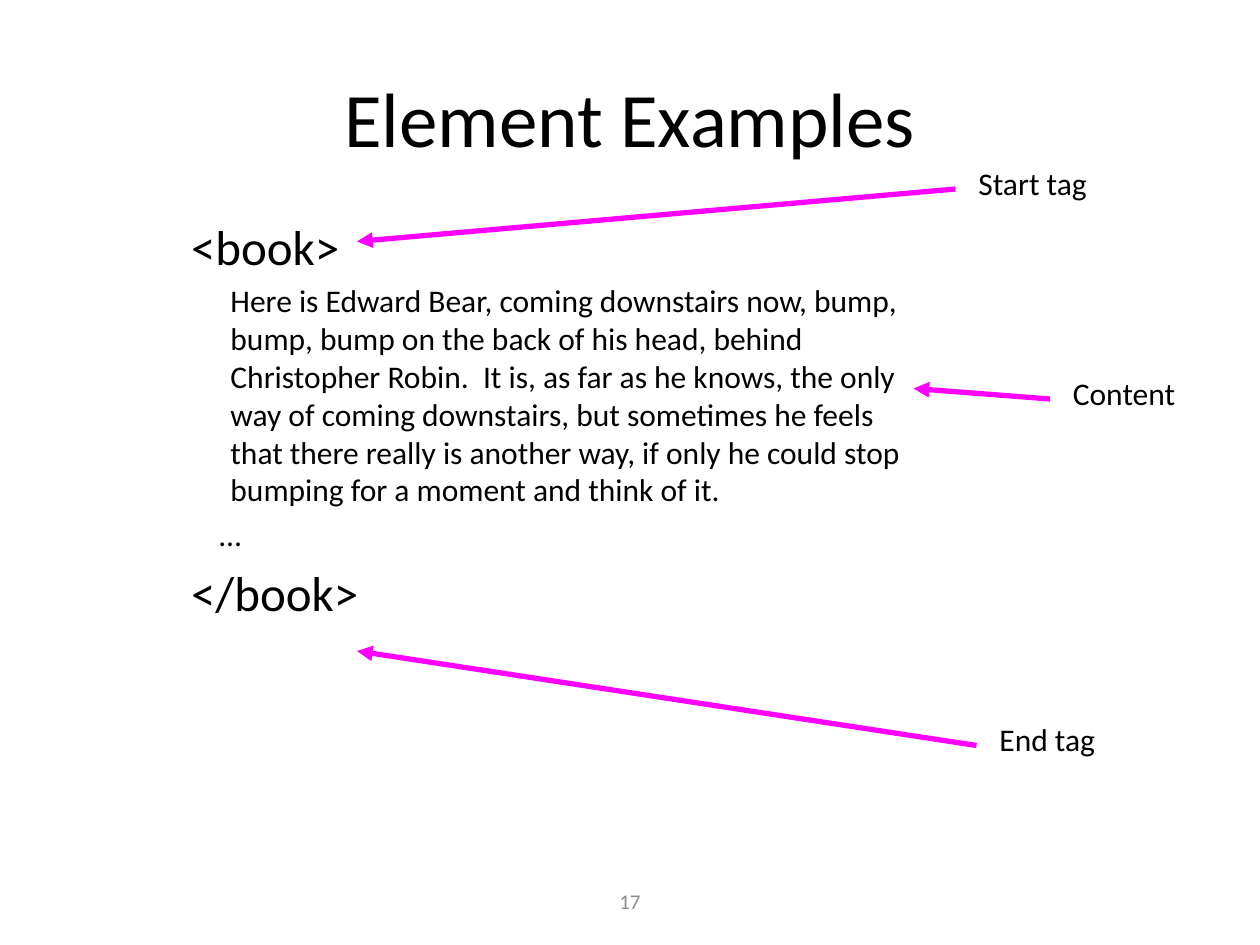
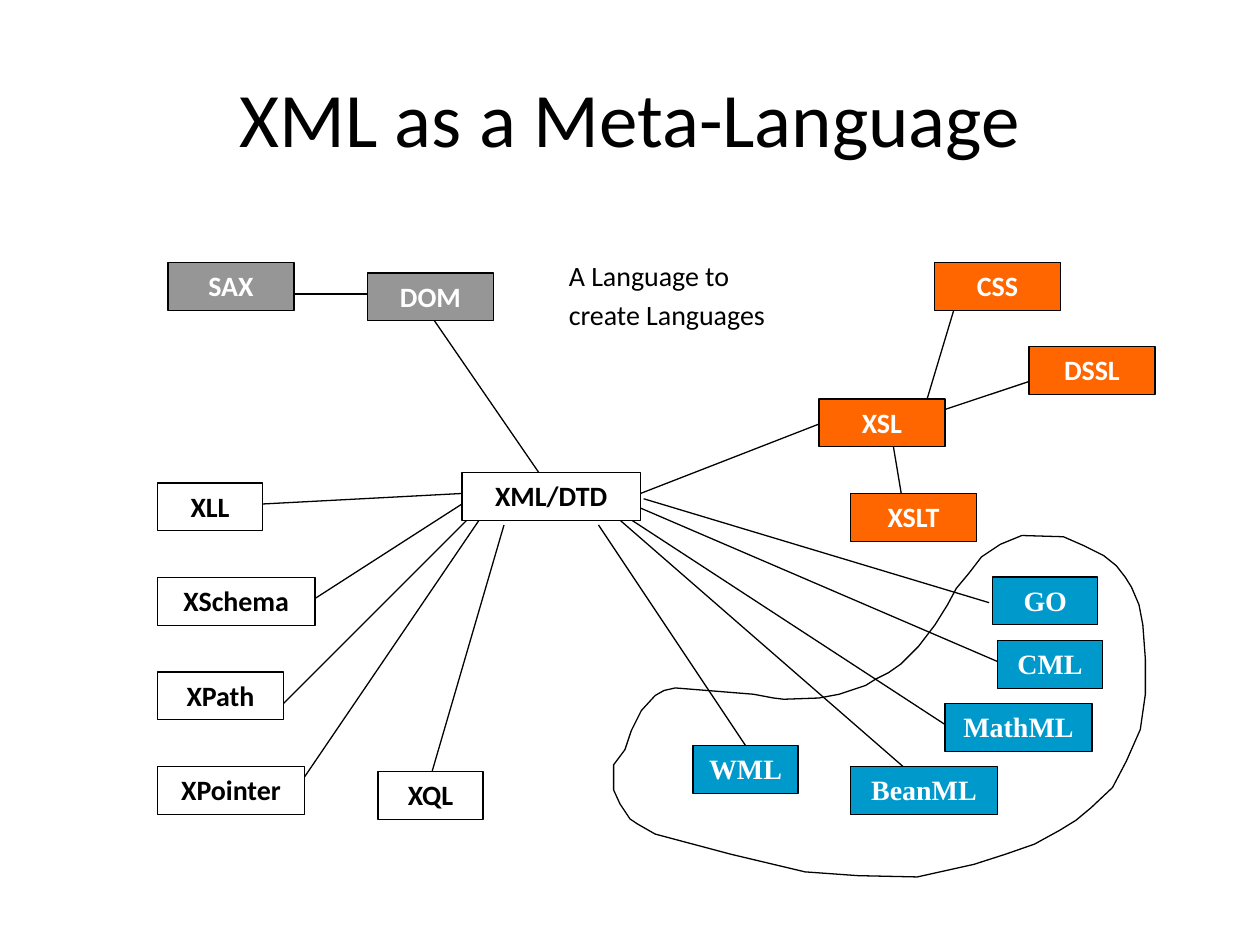
from pptx import Presentation
from pptx.dml.color import RGBColor
from pptx.enum.shapes import MSO_CONNECTOR as Conn, MSO_SHAPE as Shape
from pptx.enum.text import MSO_ANCHOR as Anchor, MSO_AUTO_SIZE as Fit, PP_ALIGN as Align
from pptx.oxml.ns import qn
from pptx.util import Inches, Pt
from lxml.etree import SubElement

BLACK = RGBColor(0x00, 0x00, 0x00)
WHITE = RGBColor(0xFF, 0xFF, 0xFF)
GREY = RGBColor(0x96, 0x96, 0x96)
PALE = RGBColor(0x8C, 0x8C, 0x8C)
ORANGE = RGBColor(0xFF, 0x66, 0x00)
BLUE = RGBColor(0x00, 0x99, 0xCC)
MAGENTA = RGBColor(0xFF, 0x00, 0xFF)
SANS, SERIF = "Calibri", "Times New Roman"

prs = Presentation()
prs.slide_width, prs.slide_height = Inches(10), Inches(7.5)
CELL = prs.slide_width / 120  # the slide is a grid of 120 columns by 90 rows


def cells(*values):
    return [round(v * CELL) for v in values]


def write(p, text, size, color=BLACK, name=SANS, bold=False, align=Align.LEFT):
    p.alignment = align
    r = p.add_run()
    r.text = text
    for key, value in {"size": Pt(size), "name": name, "bold": bold}.items():
        setattr(r.font, key, value)
    r.font.color.rgb = color


# Slides and titles
slides = []
for title, layout in (("Element Examples", 1), ("XML as a Meta-Language", 5)):
    s = prs.slides.add_slide(prs.slide_layouts[layout])
    sp = s.shapes.title
    sp.left, sp.top, sp.width, sp.height = cells(6, 3.6, 108, 15)
    tf = sp.text_frame
    tf.auto_size, tf.vertical_anchor = Fit.NONE, Anchor.MIDDLE
    write(tf.paragraphs[0], title, 44, align=Align.CENTER)
    slides.append(s)
example, language = slides

# Element with its tags: text, size, left margin in cells
sp = example.placeholders[1]
sp.left, sp.top, sp.width, sp.height = cells(11, 20, 76, 59)
tf = sp.text_frame
tf.auto_size = Fit.NONE
for i, (text, size, margin) in enumerate([
    ("<book>", 28, 6),
    ("Here is Edward Bear, coming downstairs now, bump, bump, bump on the back of his head, "
     "behind Christopher Robin.  It is, as far as he knows, the only way of coming downstairs, "
     "but sometimes he feels that there really is another way, if only he could stop bumping "
     "for a moment and think of it.", 18, 9.75),
    ("…", 18, 8.7),
    ("</book>", 28, 6),
]):
    p = tf.add_paragraph() if i else tf.paragraphs[0]
    p.level = 1
    if i == 0:
        p.space_before = Pt(0)
    pPr = p._p.get_or_add_pPr()
    pPr.set("marL", str(cells(margin)[0]))
    pPr.set("indent", "0")
    SubElement(pPr, qn("a:buNone"))
    write(p, text, size)

# Free text: slide, box in cells, lines, size, colour, alignment
for s, box, lines, size, color, align in [
    (example, (92, 15, 17, 5), ["Start tag"], 18, BLACK, Align.LEFT),
    (example, (101, 35, 15, 5), ["Content"], 18, BLACK, Align.LEFT),
    (example, (94, 68, 14, 5), ["End tag"], 18, BLACK, Align.LEFT),
    (example, (41, 83.4, 38, 4.8), ["17"], 12, PALE, Align.CENTER),
    (language, (53, 24, 24, 8), ["A Language to", "create Languages"], 16, BLACK, Align.LEFT),
]:
    tf = s.shapes.add_textbox(*cells(*box)).text_frame
    tf.word_wrap = True
    tf.vertical_anchor = Anchor.MIDDLE if align == Align.CENTER else Anchor.TOP
    for i, line in enumerate(lines):
        p = tf.add_paragraph() if i else tf.paragraphs[0]
        p.space_before = Pt(0.2 * size if i else 0)
        write(p, line, size, color, align=align)

# Arrows to the tags and plain links between the languages: x1, y1, x2, y2 in cells
arrows = [(34, 23, 91, 18), (87, 37, 100, 38), (34, 62, 93, 71)]
links = [
    (48, 50, 41, 74), (60.1, 49.5, 90, 69), (60.1, 48, 95, 63), (59, 49.5, 86, 73),
    (88, 39, 91, 29), (87, 40, 99, 36), (85, 42, 86, 48), (61, 47, 79, 40),
    (26, 28, 36, 28), (41, 30, 52, 46), (45, 49, 27, 67), (46, 49, 29, 74),
    (25, 48, 44, 47), (44, 48, 30, 57), (57, 50, 71, 71), (61.3, 47.5, 94.2, 57.4),
]
for s, ends, color, width in ((example, arrows, MAGENTA, 3), (language, links, BLACK, 0.75)):
    for end in ends:
        sp = s.shapes.add_connector(Conn.STRAIGHT, *cells(*end))
        sp.line.color.rgb, sp.line.width = color, Pt(width)
        if s is example:
            SubElement(sp.line._get_or_add_ln(), qn("a:headEnd"), type="triangle")
        SubElement(sp._element.spPr, qn("a:effectLst"))

# Loop around the XML applications, in inches
outline = [
    (4.96, 5.95), (5.01, 5.8), (5.09, 5.64), (5.2, 5.52), (5.27, 5.48), (5.36, 5.46),
    (5.61, 5.48), (5.98, 5.51), (6.14, 5.54), (6.22, 5.55), (6.5, 5.54), (6.66, 5.51),
    (6.87, 5.44), (6.95, 5.39), (7.05, 5.34), (7.15, 5.27), (7.29, 5.13), (7.42, 4.96),
    (7.52, 4.8), (7.59, 4.67), (7.69, 4.55), (7.79, 4.42), (7.94, 4.32), (8.11, 4.25),
    (8.44, 4.26), (8.6, 4.33), (8.76, 4.41), (8.86, 4.49), (8.93, 4.58), (8.98, 4.66),
    (9.04, 4.8), (9.07, 4.96), (9.09, 5.23), (9.09, 5.51), (9.05, 5.79), (8.94, 6.04),
    (8.83, 6.25), (8.66, 6.41), (8.54, 6.51), (8.41, 6.59), (8.21, 6.7), (7.98, 6.78),
    (7.73, 6.86), (7.28, 6.96), (6.81, 6.95), (6.39, 6.92), (5.8, 6.78), (5.2, 6.62),
    (5.06, 6.54), (5, 6.5), (4.92, 6.38), (4.87, 6.27), (4.87, 6.07),
]
points = [(Inches(x), Inches(y)) for x, y in outline]
builder = language.shapes.build_freeform(*points[0])
builder.add_line_segments(points[1:], close=True)
sp = builder.convert_to_shape()
sp.shadow.inherit = False
sp.fill.background()
sp.line.color.rgb, sp.line.width = BLACK, Pt(0.75)

# Language boxes by family: fill, text colour, font, then name, column, row, width
for fill, color, font, boxes in [
    (WHITE, BLACK, SANS, [
        ("XML/DTD", 44, 45, 17), ("XLL", 15, 46, 10), ("XSchema", 15, 55, 15),
        ("XPath", 15, 64, 12), ("XPointer", 15, 73, 14), ("XQL", 36, 73.5, 10)]),
    (ORANGE, WHITE, SANS, [
        ("CSS", 89, 25, 12), ("XSL", 78, 38, 12), ("DSSL", 98, 33, 12), ("XSLT", 81, 47, 12)]),
    (GREY, WHITE, SANS, [("DOM", 35, 26, 12), ("SAX", 16, 25, 12)]),
    (BLUE, WHITE, SERIF, [
        ("MathML", 90, 67, 14), ("BeanML", 81, 73, 14), ("CML", 95, 61, 10),
        ("WML", 66, 71, 10), ("GO", 94.55, 54.95, 10)]),
]:
    for name, col, row, width in boxes:
        sp = language.shapes.add_shape(Shape.RECTANGLE, *cells(col, row, width, 4.55))
        sp.shadow.inherit = False
        sp.fill.solid()
        sp.fill.fore_color.rgb = fill
        sp.line.color.rgb, sp.line.width = BLACK, Pt(0.75)
        tf = sp.text_frame
        tf.word_wrap, tf.vertical_anchor = True, Anchor.TOP
        write(tf.paragraphs[0], name, 16, color, font, True, Align.CENTER)

prs.save("out.pptx")
